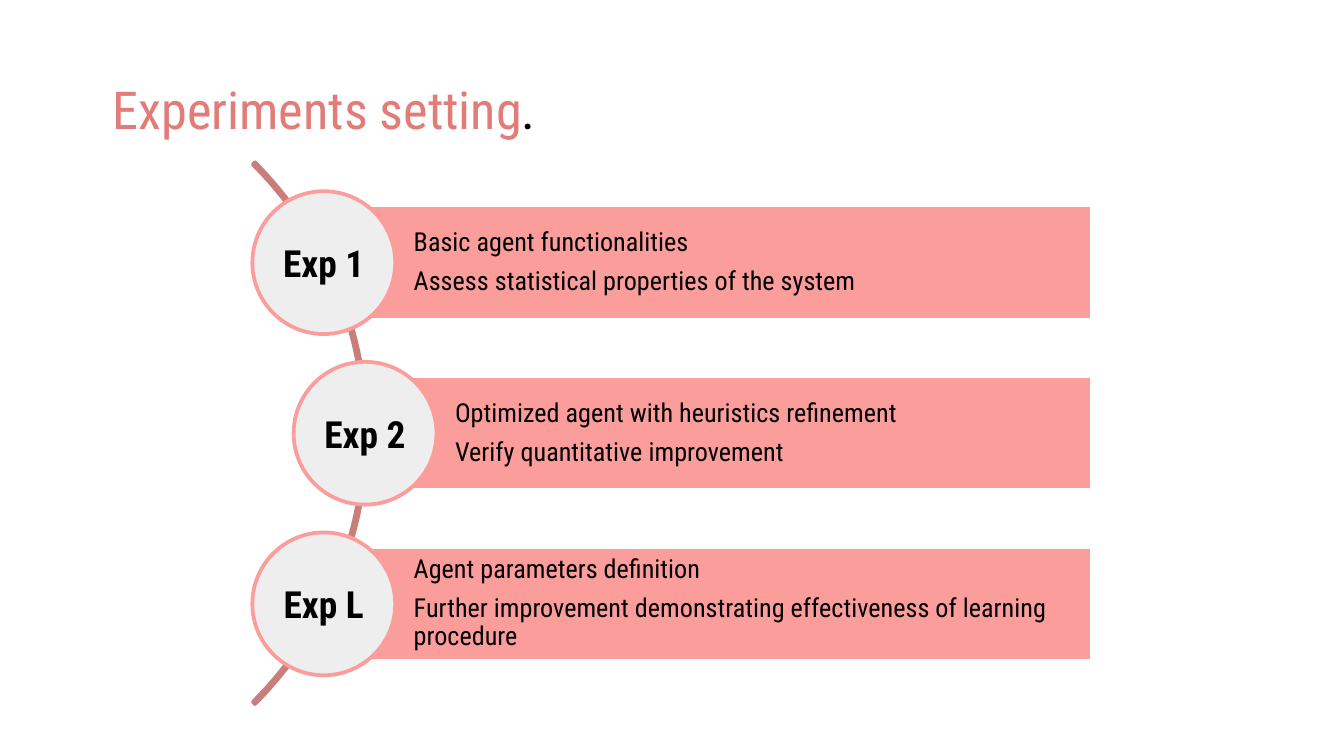
from pptx import Presentation
from pptx.dml.color import RGBColor
from pptx.enum.shapes import MSO_SHAPE
from pptx.enum.text import MSO_ANCHOR, PP_ALIGN
from pptx.util import Cm, Pt

ARC, RECTANGLE, OVAL = MSO_SHAPE.BLOCK_ARC, MSO_SHAPE.RECTANGLE, MSO_SHAPE.OVAL
TOP, MIDDLE = MSO_ANCHOR.TOP, MSO_ANCHOR.MIDDLE
LEFT, CENTER = PP_ALIGN.LEFT, PP_ALIGN.CENTER

FONT = "Roboto Condensed"
COLORS = {
    "title": "E17C78",
    "text": "000000",
    "arc": "C97E7B",
    "bar": "FB9D9A",
    "bar_line": "FFFFFF",
    "circle": "EEEEEE",
}

ARC_CENTER_X, ARC_CENTER_Y, ARC_RADIUS = -0.3, 8.19, 7.24
BAR_RIGHT, BAR_HEIGHT = 20.64, 2.16
CIRCLE_SIZE = 2.7
ROW_PITCH = 3.225

EXPERIMENTS = [
    ("Exp 1", 6.12, ["Basic agent functionalities",
                     "Assess statistical properties of the system"]),
    ("Exp 2", 6.9, ["Optimized agent with heuristics refinement",
                    "Verify quantitative improvement"]),
    ("Exp L", 6.12, ["Agent parameters definition",
                     "Further improvement demonstrating effectiveness of learning procedure"]),
]


def color(name):
    return RGBColor.from_string(COLORS[name])


def apply_format(target, values):
    for name, value in values.items():
        setattr(target, name, value)


def add_span(para, text, size, bold=False, color_name="text"):
    span = para.add_run()
    span.text = text
    apply_format(span.font, {"name": FONT, "size": Pt(size), "bold": bold})
    span.font.color.rgb = color(color_name)


def format_frame(frame, margins, anchor=MIDDLE, wrap=True):
    sides = ("margin_left", "margin_top", "margin_right", "margin_bottom")
    apply_format(frame, dict(zip(sides, map(Cm, margins))))
    apply_format(frame, {"vertical_anchor": anchor, "word_wrap": wrap})


def add_figure(page, kind, left, top, width, height, line, fill=None):
    figure = page.shapes.add_shape(kind, Cm(left), Cm(top), Cm(width), Cm(height))
    figure.shadow.inherit = False
    figure.line.color.rgb = color(line)
    figure.line.width = Pt(2)
    if fill:
        figure.fill.solid()
        figure.fill.fore_color.rgb = color(fill)
    else:
        figure.fill.background()
    return figure


def add_title(page):
    box = page.shapes.add_textbox(Cm(1.88), Cm(1.22), Cm(13.18), Cm(1.6))
    format_frame(box.text_frame, [0.25] * 4, TOP)
    para = box.text_frame.paragraphs[0]
    add_span(para, "Experiments setting", 28, color_name="title")
    add_span(para, ".", 28)


def add_arc(page):
    arc = add_figure(page, ARC, ARC_CENTER_X - ARC_RADIUS, ARC_CENTER_Y - ARC_RADIUS,
                     2 * ARC_RADIUS, 2 * ARC_RADIUS, "arc")
    for index, value in enumerate((189, 27, 0.004)):
        arc.adjustments[index] = value


def add_bar(page, left, middle, lines):
    bar = add_figure(page, RECTANGLE, left, middle - BAR_HEIGHT / 2,
                     BAR_RIGHT - left, BAR_HEIGHT, "bar_line", "bar")
    frame = bar.text_frame
    format_frame(frame, (1.7, 0.1, 0.1, 0.1))
    for index, line in enumerate(lines):
        para = frame.add_paragraph() if index else frame.paragraphs[0]
        apply_format(para, {"alignment": LEFT, "line_spacing": 0.9, "space_after": Pt(5.6)})
        add_span(para, line, 14)


def add_circle(page, center, middle, label):
    circle = add_figure(page, OVAL, center - CIRCLE_SIZE / 2, middle - CIRCLE_SIZE / 2,
                        CIRCLE_SIZE, CIRCLE_SIZE, "bar", "circle")
    format_frame(circle.text_frame, [0] * 4, wrap=False)
    para = circle.text_frame.paragraphs[0]
    para.alignment = CENTER
    add_span(para, label, 20, bold=True)


def main():
    deck = Presentation()
    apply_format(deck, {"slide_width": Cm(25.4), "slide_height": Cm(14.29)})
    page = deck.slides.add_slide(deck.slide_layouts[6])
    add_title(page)
    add_arc(page)
    for row, (label, left, lines) in enumerate(EXPERIMENTS):
        middle = ARC_CENTER_Y + (row - 1) * ROW_PITCH
        add_bar(page, left, middle, lines)
        add_circle(page, left, middle, label)
    deck.save("out.pptx")


if __name__ == "__main__":
    main()
